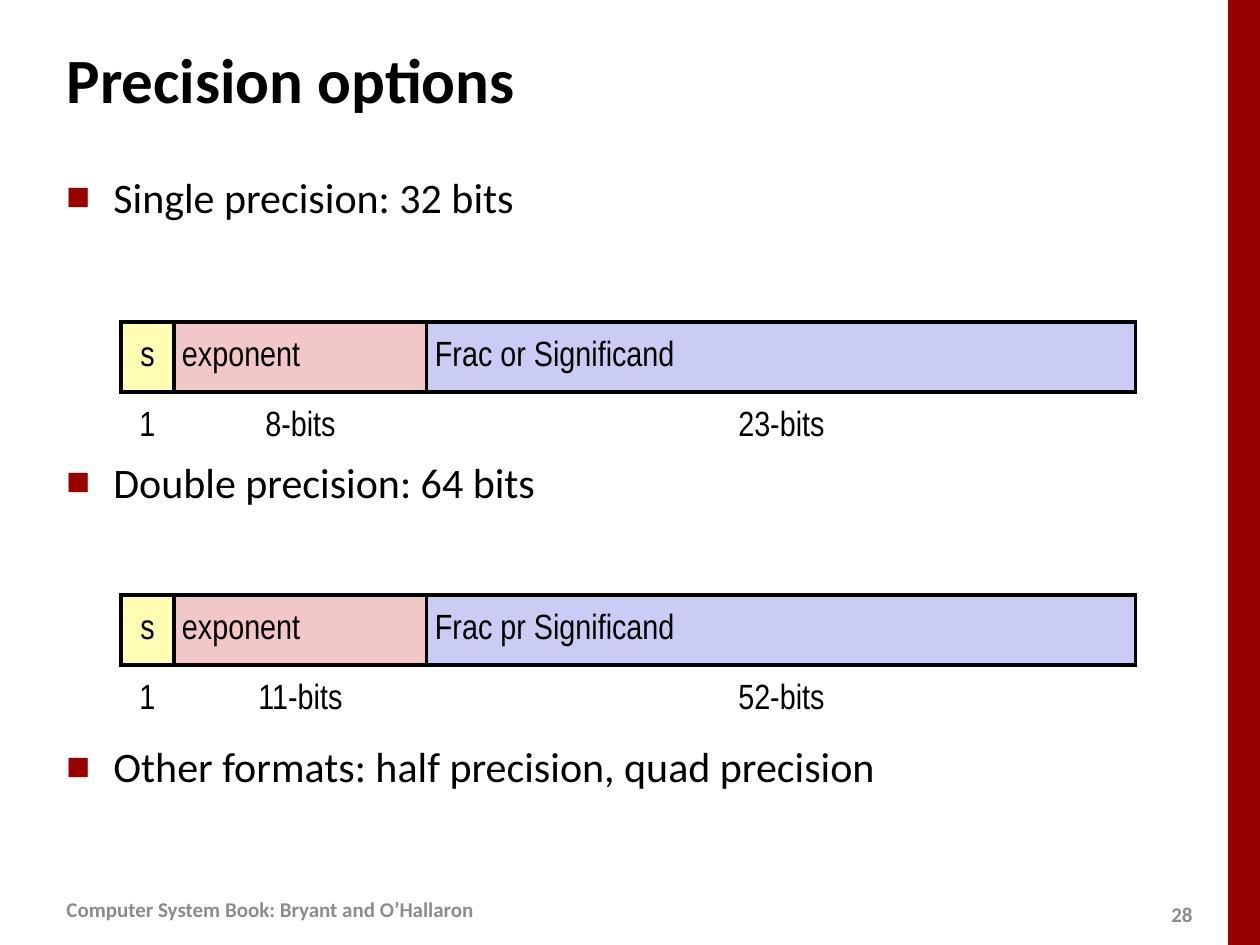
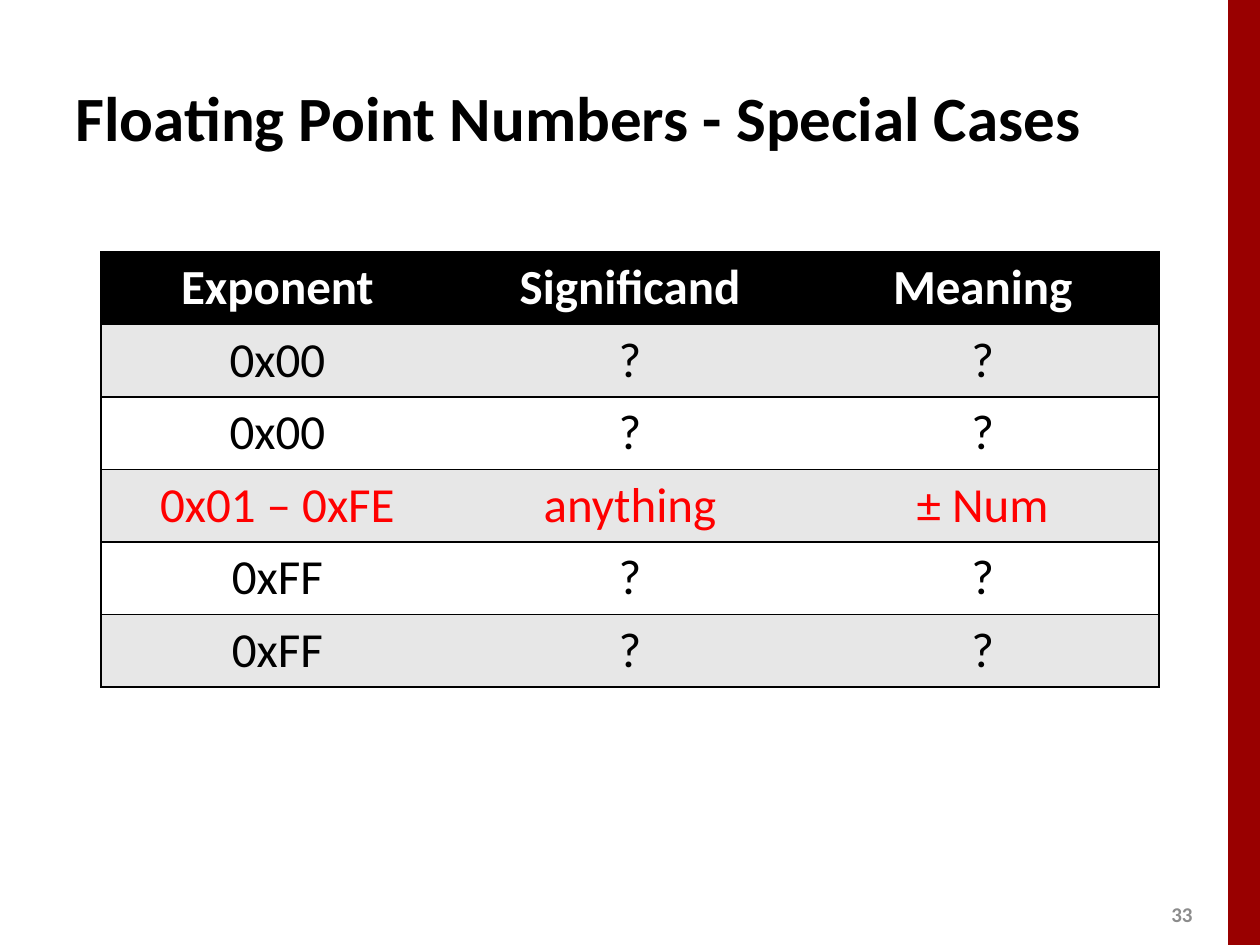
"""Build two slides on floating point precision and its special cases."""
from lxml import etree
from pptx import Presentation
from pptx.dml.color import RGBColor
from pptx.enum.shapes import MSO_SHAPE
from pptx.enum.text import MSO_ANCHOR, MSO_AUTO_SIZE, PP_ALIGN
from pptx.oxml.ns import qn
from pptx.util import Emu, Pt

PX = 914400 / 126
LEFT, CENTER = PP_ALIGN.LEFT, PP_ALIGN.CENTER
TOP, MIDDLE = MSO_ANCHOR.TOP, MSO_ANCHOR.MIDDLE
NO_AUTOFIT = MSO_AUTO_SIZE.NONE
RECTANGLE = MSO_SHAPE.RECTANGLE
TITLE_ONLY = 5
PLAIN_TABLE = "{2D5ABB26-0587-4C30-8999-92F81FD0307C}"

BLACK = RGBColor(0x00, 0x00, 0x00)
WHITE = RGBColor(0xFF, 0xFF, 0xFF)
CRIMSON = RGBColor(0x99, 0x00, 0x00)
RED = RGBColor(0xFF, 0x00, 0x00)
GRAY = RGBColor(0x8C, 0x8C, 0x8C)
BAND_GRAY = RGBColor(0xE7, 0xE7, 0xE7)
YELLOW = RGBColor(0xFF, 0xFE, 0xB2)
PINK = RGBColor(0xF1, 0xC7, 0xC7)
LAVENDER = RGBColor(0xCB, 0xCC, 0xF3)


def add_span(para, text, size, color, bold=False, font="Calibri", align=LEFT):
    para.alignment = align
    span = para.add_run()
    span.text = text
    span.font.name = font
    span.font.size = Pt(size)
    span.font.bold = bold
    span.font.color.rgb = color


def add_borders(cell, sides, weight):
    properties = cell._tc.get_or_add_tcPr()
    for side in sides:
        line = etree.SubElement(properties, qn("a:ln" + side), w=str(Pt(weight)))
        fill = etree.SubElement(line, qn("a:solidFill"))
        etree.SubElement(fill, qn("a:srgbClr"), val=str(BLACK))


deck = Presentation()
deck.slide_width = Emu(round(1260 * PX))
deck.slide_height = Emu(round(945 * PX))

pages = []
for number, heading, title_place in [
    ("28", "Precision options", (54, 26, 1046, 105)),
    ("33", "Floating Point Numbers - Special Cases", (63, 38, 1134, 157)),
]:
    page = deck.slides.add_slide(deck.slide_layouts[TITLE_ONLY])
    pages.append(page)
    band = page.shapes.add_shape(RECTANGLE, *[Emu(round(n * PX)) for n in (1228, 0, 32, 945)])
    band.shadow.inherit = False
    band.fill.solid()
    band.fill.fore_color.rgb = CRIMSON
    band.line.fill.background()

    title = page.shapes.title
    title.left, title.top, title.width, title.height = [Emu(round(n * PX)) for n in title_place]
    title.text_frame.auto_size = NO_AUTOFIT
    title.text_frame.vertical_anchor = MIDDLE
    add_span(title.text_frame.paragraphs[0], heading, 36, BLACK, True)

    number_box = page.shapes.add_textbox(*[Emu(round(n * PX)) for n in (1159, 895, 50, 38)])
    number_box.text_frame.word_wrap = True
    number_box.text_frame.vertical_anchor = MIDDLE
    add_span(number_box.text_frame.paragraphs[0], number, 12, GRAY, True)

precision_page, cases_page = pages

body = precision_page.shapes.add_textbox(*[Emu(round(n * PX)) for n in (54, 165, 1089, 714)])
body.text_frame.word_wrap = True
for index, text in enumerate([
    "Single precision: 32 bits",
    "Double precision: 64 bits",
    "Other formats: half precision, quad precision",
]):
    para = body.text_frame.add_paragraph() if index else body.text_frame.paragraphs[0]
    if index:
        para.space_before = Pt(134)
    properties = para._p.get_or_add_pPr()
    properties.set("marL", str(round(47 * PX)))
    properties.set("indent", str(-round(47 * PX)))
    bullet_color = etree.SubElement(properties, qn("a:buClr"))
    etree.SubElement(bullet_color, qn("a:srgbClr"), val=str(CRIMSON))
    etree.SubElement(properties, qn("a:buSzPct"), val="60000")
    etree.SubElement(properties, qn("a:buFont"), typeface="Calibri")
    etree.SubElement(properties, qn("a:buChar"), char="■")
    add_span(para, text, 24, BLACK)

for top, fraction, exponent_bits, fraction_bits in [
    (322, "Frac or Significand", "8-bits", "23-bits"),
    (595, "Frac pr Significand", "11-bits", "52-bits"),
]:
    holder = precision_page.shapes.add_table(
        2, 3, *[Emu(round(n * PX)) for n in (121, top, 1015, 140)])
    holder.element.find(".//" + qn("a:tableStyleId")).text = PLAIN_TABLE
    fields = holder.table
    for column, (width, color, name, bits) in enumerate([
        (53, YELLOW, "s", "1"),
        (253, PINK, "exponent", exponent_bits),
        (709, LAVENDER, fraction, fraction_bits),
    ]):
        fields.columns[column].width = Emu(round(width * PX))
        name_cell, bits_cell = fields.cell(0, column), fields.cell(1, column)
        add_borders(name_cell, "LRTB", 2)
        add_borders(bits_cell, "T", 2)
        name_cell.fill.solid()
        name_cell.fill.fore_color.rgb = color
        bits_cell.fill.background()
        for cell, text in (name_cell, name), (bits_cell, bits):
            cell.vertical_anchor = MIDDLE
            cell.margin_left = cell.margin_right = Emu(round(8 * PX))
            cell.margin_top = cell.margin_bottom = Emu(round(8 * PX))
            align = LEFT if cell is name_cell and column else CENTER
            add_span(cell.text_frame.paragraphs[0], text, 20, BLACK,
                     font="Arial Narrow", align=align)

footer = precision_page.shapes.add_textbox(*[Emu(round(n * PX)) for n in (54, 880, 525, 59)])
footer.text_frame.word_wrap = True
footer.text_frame.vertical_anchor = MIDDLE
add_span(footer.text_frame.paragraphs[0],
         "Computer System Book: Bryant and O’Hallaron", 12, GRAY, True)

cases = [
    ("Exponent", "Significand", "Meaning"),
    ("0x00", "?", "?"),
    ("0x00", "?", "?"),
    ("0x01 – 0xFE", "anything", "± Num"),
    ("0xFF", "?", "?"),
    ("0xFF", "?", "?"),
]
text_colors = {0: WHITE, 3: RED}
holder = cases_page.shapes.add_table(
    len(cases), 3, *[Emu(round(n * PX)) for n in (101, 252, 1058, 435)])
holder.element.find(".//" + qn("a:tableStyleId")).text = PLAIN_TABLE
for row, case in enumerate(cases):
    row_fill = BLACK if row == 0 else BAND_GRAY if row % 2 else WHITE
    for column, text in enumerate(case):
        cell = holder.table.cell(row, column)
        add_borders(cell, ("LTB", "TB", "RTB")[column], 1)
        cell.fill.solid()
        cell.fill.fore_color.rgb = row_fill
        cell.vertical_anchor = TOP
        add_span(cell.text_frame.paragraphs[0], text, 28, text_colors.get(row, BLACK),
                 row == 0, align=CENTER)

deck.save("out.pptx")
